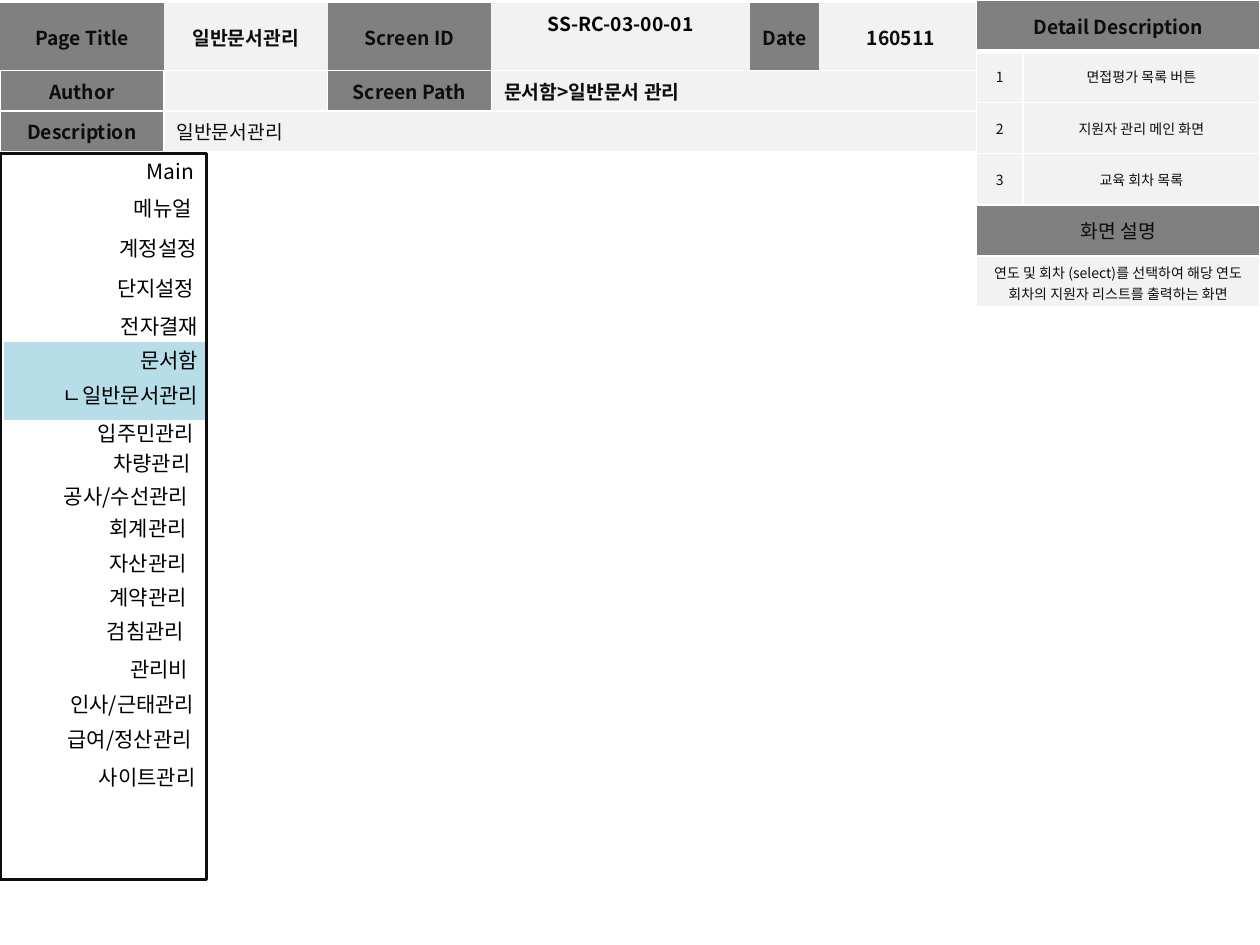
from dataclasses import dataclass

from lxml import etree
from pptx import Presentation
from pptx.dml.color import RGBColor
from pptx.enum.shapes import MSO_SHAPE
from pptx.enum.text import MSO_ANCHOR, MSO_AUTO_SIZE, PP_ALIGN
from pptx.oxml.ns import qn
from pptx.util import Inches, Pt

RECTANGLE = MSO_SHAPE.RECTANGLE
TOP, MIDDLE = MSO_ANCHOR.TOP, MSO_ANCHOR.MIDDLE
LEFT, CENTER, RIGHT = PP_ALIGN.LEFT, PP_ALIGN.CENTER, PP_ALIGN.RIGHT
GROW = MSO_AUTO_SIZE.SHAPE_TO_FIT_TEXT
PLAIN_TABLE = "{2D5ABB26-0587-4C30-8999-92F81FD0307C}"
GRID_COLUMNS, GRID_ROWS = 1000, 750
SLIDE_WIDTH, SLIDE_HEIGHT = Inches(10), Inches(7.5)


@dataclass(frozen=True)
class Theme:
    font: str = "Noto Sans CJK KR"
    ink: str = "0D0D0D"
    black: str = "000000"
    label: str = "808080"
    value: str = "F2F2F2"
    rule: str = "FFFFFF"
    active: str = "B7DEE8"
    heading: int = 11
    menu: int = 12
    note: int = 8


@dataclass(frozen=True)
class Box:
    left: float
    top: float
    width: float
    height: float

    def place(self):
        return across(self.left), down(self.top), across(self.width), down(self.height)


THEME = Theme()

MENU = [
    ("Main", -1, 0), ("메뉴얼", -3, 29), ("계정설정", 1, 61),
    ("단지설정", -1, 93), ("전자결재", 2, 123), ("문서함", 2, 150),
    ("ㄴ일반문서관리", 2, 178), ("입주민관리", -1, 208), ("차량관리", -4, 232),
    ("공사/수선관리", -6, 258), ("회계관리", -7, 283), ("자산관리", -7, 311),
    ("계약관리", -7, 338), ("검침관리", -9, 365), ("관리비", -6, 395),
    ("인사/근태관리", -1, 423), ("급여/정산관리", -3, 451), ("사이트관리", 0, 481),
]

DETAILS = ["면접평가 목록 버튼", "지원자 관리 메인 화면", "교육 회차 목록"]
SCREEN_NOTE = "연도 및 회차 (select)를 선택하여 해당 연도 회차의 지원자 리스트를 출력하는 화면"


def across(columns):
    return round(SLIDE_WIDTH * columns / GRID_COLUMNS)


def down(rows):
    return round(SLIDE_HEIGHT * rows / GRID_ROWS)


def write(frame, text, size=THEME.heading, color=THEME.ink, bold=False, align=CENTER):
    para = frame.paragraphs[0]
    para.alignment = align
    span = para.add_run()
    span.text = text
    span.font.name = THEME.font
    span.font.size = Pt(size)
    span.font.bold = bold
    span.font.color.rgb = RGBColor.from_string(color)
    etree.SubElement(span.font._element, qn("a:ea"), typeface=THEME.font)


def draw_borders(cell, widths):
    properties = cell._tc.get_or_add_tcPr()
    for side in "LRTB":
        if side in widths:
            line = etree.SubElement(properties, qn(f"a:ln{side}"), w=str(Pt(widths[side])))
            fill = etree.SubElement(line, qn("a:solidFill"))
            etree.SubElement(fill, qn("a:srgbClr"), val=THEME.rule)


def add_grid(page, box, columns, rows, borders):
    table = page.shapes.add_table(len(rows), len(columns), *box.place()).table
    table._tbl.tblPr.find(qn("a:tableStyleId")).text = PLAIN_TABLE
    table.first_row = table.horz_banding = False
    for column, width in zip(table.columns, columns):
        column.width = across(width)
    for row, height, widths in zip(table.rows, rows, borders):
        row.height = down(height)
        for cell in row.cells:
            draw_borders(cell, widths)
            para = cell.text_frame.paragraphs[0]
            para._p.get_or_add_endParaRPr().set("sz", str(THEME.note * 100))
    return table


def fill_cell(table, row, column, text, fill, span=1, anchor=MIDDLE, **style):
    cell = table.cell(row, column)
    if span > 1:
        cell.merge(table.cell(row, column + span - 1))
    cell.fill.solid()
    cell.fill.fore_color.rgb = RGBColor.from_string(fill)
    cell.vertical_anchor = anchor
    if text:
        write(cell.text_frame, text, **style)


def add_header(page, box):
    columns = [130, 130, 130, 205, 55, 130]
    rows = [box.height - 64, 32, 32]
    around = dict.fromkeys("LRTB", 1)
    table = add_grid(page, box, columns, rows, [{"B": 1}, around, around])
    labels = [
        (0, 0, "Page Title"), (0, 2, "Screen ID"), (0, 4, "Date"),
        (1, 0, "Author"), (1, 2, "Screen Path"), (2, 0, "Description"),
    ]
    for row, column, text in labels:
        fill_cell(table, row, column, text, THEME.label, bold=True)
    fill_cell(table, 0, 1, "일반문서관리", THEME.value, bold=True)
    fill_cell(table, 0, 3, "SS-RC-03-00-01", THEME.value, anchor=TOP,
              color=THEME.black, bold=True)
    fill_cell(table, 0, 5, "160511", THEME.value, bold=True)
    fill_cell(table, 1, 1, "", THEME.value)
    fill_cell(table, 1, 3, "문서함>일반문서 관리", THEME.value, span=3, bold=True, align=LEFT)
    fill_cell(table, 2, 1, "일반문서관리", THEME.value, span=5, align=LEFT)


def add_panel(page, box, fill=None, line=THEME.rule):
    panel = page.shapes.add_shape(RECTANGLE, *box.place())
    panel.shadow.inherit = False
    if fill:
        panel.fill.solid()
        panel.fill.fore_color.rgb = RGBColor.from_string(fill)
    else:
        panel.fill.background()
    panel.line.color.rgb = RGBColor.from_string(line)
    panel.line.width = Pt(2)


def add_menu(page, box):
    add_panel(page, Box(box.left + 2, box.top + 148, box.width, 65), fill=THEME.active)
    add_panel(page, box, line=THEME.ink)
    for text, shift, drop in MENU:
        item_box = Box(box.left + shift, box.top - 1 + drop, box.width + 1, 30)
        frame = page.shapes.add_textbox(*item_box.place()).text_frame
        frame.word_wrap = True
        frame.auto_size = GROW
        write(frame, text, size=THEME.menu, color=THEME.black, align=RIGHT)


def add_details(page, box):
    around = dict.fromkeys("LRTB", 1)
    borders = [{**around, "B": 3}, {**around, "T": 3}] + [around] * 4
    table = add_grid(page, box, [37, box.width - 37], [box.height / 6] * 6, borders)
    fill_cell(table, 0, 0, "Detail Description", THEME.label, span=2, bold=True)
    for number, text in enumerate(DETAILS, start=1):
        fill_cell(table, number, 0, str(number), THEME.value, size=THEME.note)
        fill_cell(table, number, 1, text, THEME.value, size=THEME.note)
    fill_cell(table, 4, 0, "화면 설명", THEME.label, span=2)
    fill_cell(table, 5, 0, SCREEN_NOTE, THEME.value, span=2, size=THEME.note)


def main():
    deck = Presentation()
    deck.slide_width, deck.slide_height = SLIDE_WIDTH, SLIDE_HEIGHT
    page = deck.slides.add_slide(deck.slide_layouts[6])
    add_header(page, Box(0, 2, 780, 118))
    add_menu(page, Box(0, 122, 164, 576))
    add_details(page, Box(775, 0, 225, 244))
    deck.save("out.pptx")


if __name__ == "__main__":
    main()
